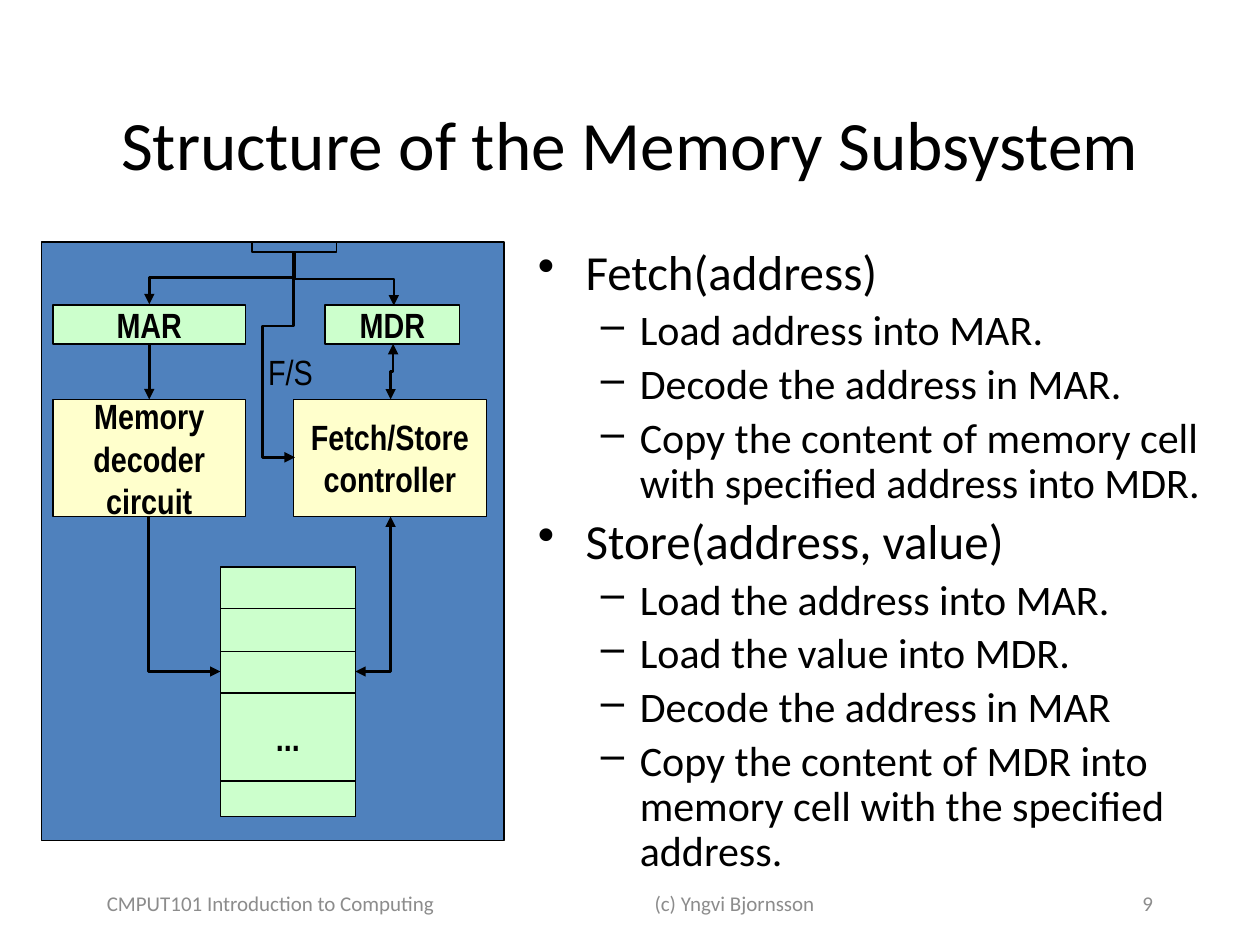
from typing import NamedTuple

from lxml.etree import SubElement
from pptx import Presentation
from pptx.dml.color import RGBColor
from pptx.enum.shapes import MSO_CONNECTOR, MSO_SHAPE
from pptx.enum.text import MSO_ANCHOR, PP_ALIGN
from pptx.oxml.ns import qn
from pptx.util import Inches, Pt

BLACK = RGBColor(0x00, 0x00, 0x00)
GRAY = RGBColor(0x8C, 0x8C, 0x8C)
BLUE = RGBColor(0x4F, 0x81, 0xBD)
GREEN = RGBColor(0xCC, 0xFF, 0xCC)
YELLOW = RGBColor(0xFF, 0xFF, 0xCC)
BODY_FONT, DIAGRAM_FONT = "Calibri", "Arial Narrow"


class Box(NamedTuple):
    x: float
    y: float
    w: float
    h: float
    fill: RGBColor
    text: str = ""


class Elbow(NamedTuple):
    """A bent connector: its box before rotation, then how it is turned."""
    x: float
    y: float
    w: float
    h: float
    bends: int
    rotation: int = 0
    flip: str = ""
    adjust: tuple[float, ...] = ()
    two_way: bool = False


class Footer(NamedTuple):
    x: float
    w: float
    text: str
    align: PP_ALIGN


class Level(NamedTuple):
    bullet: str
    size: int
    margin: float
    hanging: float


LEVELS = [Level("•", 28, 0.38, 0.38), Level("–", 24, 0.81, 0.31)]

FOOTERS = [
    Footer(0.75, 3.67, "CMPUT101 Introduction to Computing", PP_ALIGN.LEFT),
    Footer(4.58, 2.5, "(c) Yngvi Bjornsson", PP_ALIGN.CENTER),
    Footer(7.17, 2.08, "9", PP_ALIGN.RIGHT),
]

OPERATIONS = {
    "Fetch(address)": [
        "Load address into MAR.",
        "Decode the address in MAR.",
        "Copy the content of memory cell with specified address into MDR.",
    ],
    "Store(address, value)": [
        "Load the address into MAR.",
        "Load the value into MDR.",
        "Decode the address in MAR",
        "Copy the content of MDR into memory cell with the specified address.",
    ],
}

PANEL = Box(0.33, 1.92, 3.67, 4.75, BLUE)
BUS = Box(2, 1.92, 0.67, 0.08, BLUE)
MAR = Box(0.42, 2.42, 1.53, 0.31, GREEN, "MAR")
MDR = Box(2.58, 2.42, 1.07, 0.31, GREEN, "MDR")
DECODER = Box(0.42, 3.17, 1.53, 0.93, YELLOW, "Memory\ndecoder\ncircuit")
CONTROLLER = Box(2.33, 3.17, 1.53, 0.93, YELLOW, "Fetch/Store\ncontroller")
CELLS = [Box(1.75, y, 1.07, h, GREEN, text) for y, h, text in [
    (4.5, 0.33, ""), (4.83, 0.39, ""), (5.17, 0.33, ""), (6.17, 0.31, ""), (5.5, 0.7, "...")]]

MEMORY_ELBOWS = [
    Elbow(0.85, 4.43, 1.23, 0.57, 2, 270, "h"),
    Elbow(2.82, 4.1, 0.28, 1.23, 2, 0, "v", two_way=True),
    Elbow(2.89, 2.94, 0.44, 0.02, 3, 270, "", (0.5,), two_way=True),
]
BUS_ELBOWS = [
    Elbow(1.55, 1.63, 0.42, 1.15, 3, 90, "", (0.5,)),
    Elbow(2.52, 1.82, 0.42, 0.79, 3, 270, "h", (0.5,)),
    Elbow(1.52, 2.81, 1.63, 0.01, 4, 270, "h", (0.36, -25)),
]


def style_line(c, width: float, head: bool = False, tail: bool = False) -> None:
    c.line.color.rgb = BLACK
    c.line.width = Pt(width)
    ln = c.line._get_or_add_ln()
    for tag, wanted in (("a:headEnd", head), ("a:tailEnd", tail)):
        if wanted:
            SubElement(ln, qn(tag), type="triangle")
    SubElement(c._element.spPr, qn("a:effectLst"))


def add_box(s, box: Box):
    sp = s.shapes.add_shape(MSO_SHAPE.RECTANGLE, *map(Inches, box[:4]))
    sp.shadow.inherit = False
    sp.fill.solid()
    sp.fill.fore_color.rgb = box.fill
    sp.line.color.rgb = BLACK
    sp.line.width = Pt(0.75)
    if box.text:
        tf = sp.text_frame
        tf.word_wrap = False
        tf.vertical_anchor = MSO_ANCHOR.MIDDLE
        tf.text = box.text
        for p in tf.paragraphs:
            p.alignment = PP_ALIGN.CENTER
            style_font(p, DIAGRAM_FONT, 20)
            p.font.bold = True
    return sp


def add_elbow(s, e: Elbow) -> None:
    x1, x2, y1, y2 = e.x, e.x + e.w, e.y, e.y + e.h
    if e.flip == "h":
        x1, x2 = x2, x1
    elif e.flip == "v":
        y1, y2 = y2, y1
    c = s.shapes.add_connector(MSO_CONNECTOR.ELBOW, *map(Inches, (x1, y1, x2, y2)))
    sp_pr = c._element.spPr
    sp_pr.find(qn("a:xfrm")).set("rot", str(e.rotation * 60000))
    geom = sp_pr.find(qn("a:prstGeom"))
    geom.set("prst", f"bentConnector{e.bends}")
    guides = geom.find(qn("a:avLst"))
    for i, value in enumerate(e.adjust, 1):
        SubElement(guides, qn("a:gd"), name=f"adj{i}", fmla=f"val {round(value * 100000)}")
    style_line(c, 1.5, head=e.two_way, tail=True)


def style_font(p, name: str, size: float, color: RGBColor = BLACK) -> None:
    p.font.name = name
    p.font.size = Pt(size)
    p.font.color.rgb = color


def add_text(s, x: float, y: float, w: float, h: float, wrap: bool = True):
    tf = s.shapes.add_textbox(*map(Inches, (x, y, w, h))).text_frame
    tf.word_wrap = wrap
    return tf


def add_title(s, text: str) -> None:
    title = s.shapes.title
    title.left, title.top, title.width, title.height = map(Inches, (0.75, 0.67, 8.5, 0.92))
    title.text_frame.vertical_anchor = MSO_ANCHOR.MIDDLE
    title.text_frame.text = text
    p = title.text_frame.paragraphs[0]
    p.alignment = PP_ALIGN.CENTER
    style_font(p, BODY_FONT, 39.6)


def add_operations(s) -> None:
    tf = add_text(s, 4.17, 1.92, 5.67, 5.25)
    lines = [(depth, text) for name, steps in OPERATIONS.items()
             for depth, text in [(0, name), *((1, step) for step in steps)]]
    for i, (depth, text) in enumerate(lines):
        p = tf.add_paragraph() if i else tf.paragraphs[0]
        level = LEVELS[depth]
        p.text = text
        p.level = depth
        p.line_spacing = 0.9
        p.space_before = Pt(level.size * 0.2)
        style_font(p, BODY_FONT, level.size)
        p_pr = p._p.get_or_add_pPr()
        p_pr.set("marL", str(Inches(level.margin)))
        p_pr.set("indent", str(-Inches(level.hanging)))
        bullet = p_pr.makeelement(qn("a:buChar"), {"char": level.bullet})
        p_pr.find(qn("a:defRPr")).addprevious(bullet)


def add_diagram(s) -> None:
    add_box(s, PANEL)
    mar = add_box(s, MAR)
    for box in [MDR, *CELLS]:
        add_box(s, box)
    decoder = add_box(s, DECODER)
    add_box(s, CONTROLLER)
    for elbow in MEMORY_ELBOWS:
        add_elbow(s, elbow)
    c = s.shapes.add_connector(MSO_CONNECTOR.STRAIGHT, *map(Inches, (1.18, 2.73, 1.18, 3.17)))
    c.begin_connect(mar, 2)
    c.end_connect(decoder, 0)
    style_line(c, 1.5, tail=True)
    c = s.shapes.add_connector(MSO_CONNECTOR.STRAIGHT, *map(Inches, (2.08, 1.92, 2.42, 1.92)))
    style_line(c, 0.75)
    add_box(s, BUS)
    for elbow in BUS_ELBOWS:
        add_elbow(s, elbow)
    tf = add_text(s, 2.03, 2.73, 0.56, 0.43, wrap=False)
    tf.text = "F/S"
    style_font(tf.paragraphs[0], DIAGRAM_FONT, 20)


def main() -> None:
    prs = Presentation()
    prs.slide_width, prs.slide_height = Inches(10), Inches(7.5)
    s = prs.slides.add_slide(prs.slide_layouts[5])
    add_title(s, "Structure of the Memory Subsystem")
    for footer in FOOTERS:
        tf = add_text(s, footer.x, 7, footer.w, 0.33)
        tf.vertical_anchor = MSO_ANCHOR.MIDDLE
        tf.text = footer.text
        tf.paragraphs[0].alignment = footer.align
        style_font(tf.paragraphs[0], BODY_FONT, 12, GRAY)
    add_operations(s)
    add_diagram(s)
    prs.save("out.pptx")


if __name__ == "__main__":
    main()
